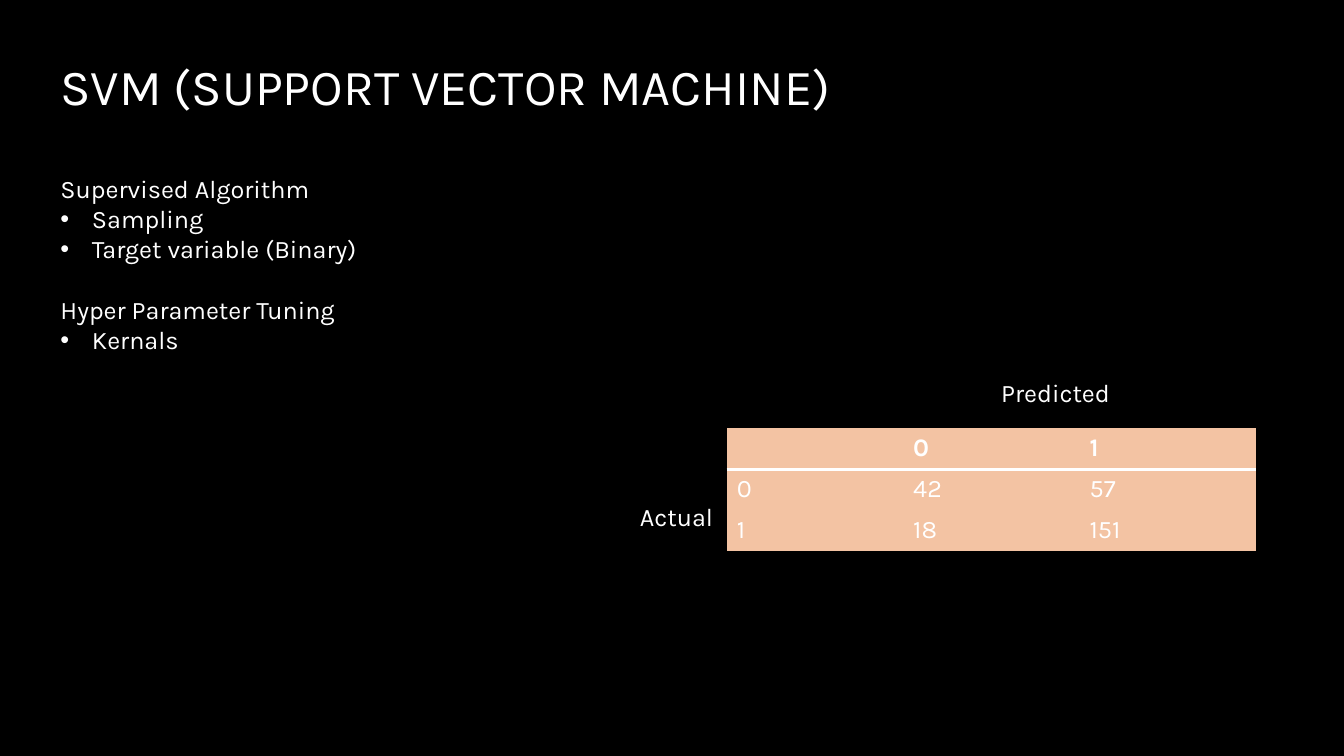
from dataclasses import dataclass

from lxml.etree import SubElement
from pptx import Presentation
from pptx.dml.color import RGBColor
from pptx.enum.text import MSO_ANCHOR as Anchor, MSO_AUTO_SIZE as AutoSize, PP_ALIGN as Align
from pptx.oxml import parse_xml
from pptx.oxml.ns import nsdecls, qn
from pptx.util import Pt


@dataclass(frozen=True)
class Theme:
    font: str = "Karla"
    title_size: int = 36
    text_size: int = 18
    background: str = "000000"
    text: str = "FFFFFF"
    cell: str = "F3C3A3"


theme = Theme()


def add_run(paragraph, words, size=theme.text_size, bold=False):
    run = paragraph.add_run()
    run.text = words
    run.font.name = theme.font
    run.font.size = Pt(size)
    run.font.bold = bold
    run.font.color.rgb = RGBColor.from_string(theme.text)


def place(box, left, top, width, height):
    box.left, box.top, box.width, box.height = Pt(left), Pt(top), Pt(width), Pt(height)
    frame = box.text_frame
    frame.word_wrap = True
    frame.auto_size = AutoSize.NONE
    frame.vertical_anchor = Anchor.TOP
    return frame


prs = Presentation()
prs.slide_width, prs.slide_height = Pt(960), Pt(540)
slide = prs.slides.add_slide(prs.slide_layouts[1])
slide.background.fill.solid()
slide.background.fill.fore_color.rgb = RGBColor.from_string(theme.background)

# Title
heading = place(slide.shapes.title, 36, 36, 672, 72.7).paragraphs[0]
heading.alignment = Align.LEFT
add_run(heading, "SVM (SUPPORT VECTOR MACHINE)", theme.title_size)

# Topics with their bullets
topics = [
    ("Supervised Algorithm", ["Sampling", "Target variable (Binary)"]),
    ("Hyper Parameter Tuning", ["Kernals"]),
]
lines = []
for number, (topic, points) in enumerate(topics):
    lines.append((topic, False, 21.6 if number else 0))
    lines += [(point, True, 0) for point in points]

outline = place(slide.placeholders[1], 36, 120, 804, 160)
for number, (words, bulleted, gap) in enumerate(lines):
    paragraph = outline.add_paragraph() if number else outline.paragraphs[0]
    paragraph.space_before = Pt(gap)
    paragraph.line_spacing = 1.0
    props = paragraph._p.get_or_add_pPr()
    indent = Pt(22.5) if bulleted else 0
    props.set("marL", str(indent))
    props.set("indent", str(-indent))
    if bulleted:
        SubElement(props, qn("a:buFont")).set("typeface", "Arial")
        SubElement(props, qn("a:buChar")).set("char", "•")
    else:
        SubElement(props, qn("a:buNone"))
    add_run(paragraph, words)

# Confusion matrix
counts = [["", "0", "1"], ["0", "42", "57"], ["1", "18", "151"]]
row_height = 29.2
matrix = slide.shapes.add_table(3, 3, Pt(519.1), Pt(306), Pt(378), Pt(3 * row_height)).table
matrix.first_row = matrix.horz_banding = False
# Plain table style without grid lines
matrix._tbl.tblPr.find(qn("a:tableStyleId")).text = "{2D5ABB26-0587-4C30-8999-92F81FD0307C}"
for row, values in enumerate(counts):
    matrix.rows[row].height = Pt(row_height)
    for column, value in enumerate(values):
        cell = matrix.cell(row, column)
        cell.fill.solid()
        cell.fill.fore_color.rgb = RGBColor.from_string(theme.cell)
        if value:
            add_run(cell.text_frame.paragraphs[0], value, bold=row == 0)
        if row == 0:
            cell._tc.get_or_add_tcPr().insert(0, parse_xml(
                f'<a:lnB {nsdecls("a")} w="{Pt(2)}"><a:solidFill>'
                f'<a:srgbClr val="{theme.text}"/></a:solidFill></a:lnB>'))

# Axis labels of the matrix
for label, left, top, width in [("Actual", 450, 354.2, 84), ("Predicted", 708, 266, 162)]:
    axis = slide.shapes.add_textbox(0, 0, 0, 0)
    add_run(place(axis, left, top, width, 51).paragraphs[0], label)

prs.save("out.pptx")
